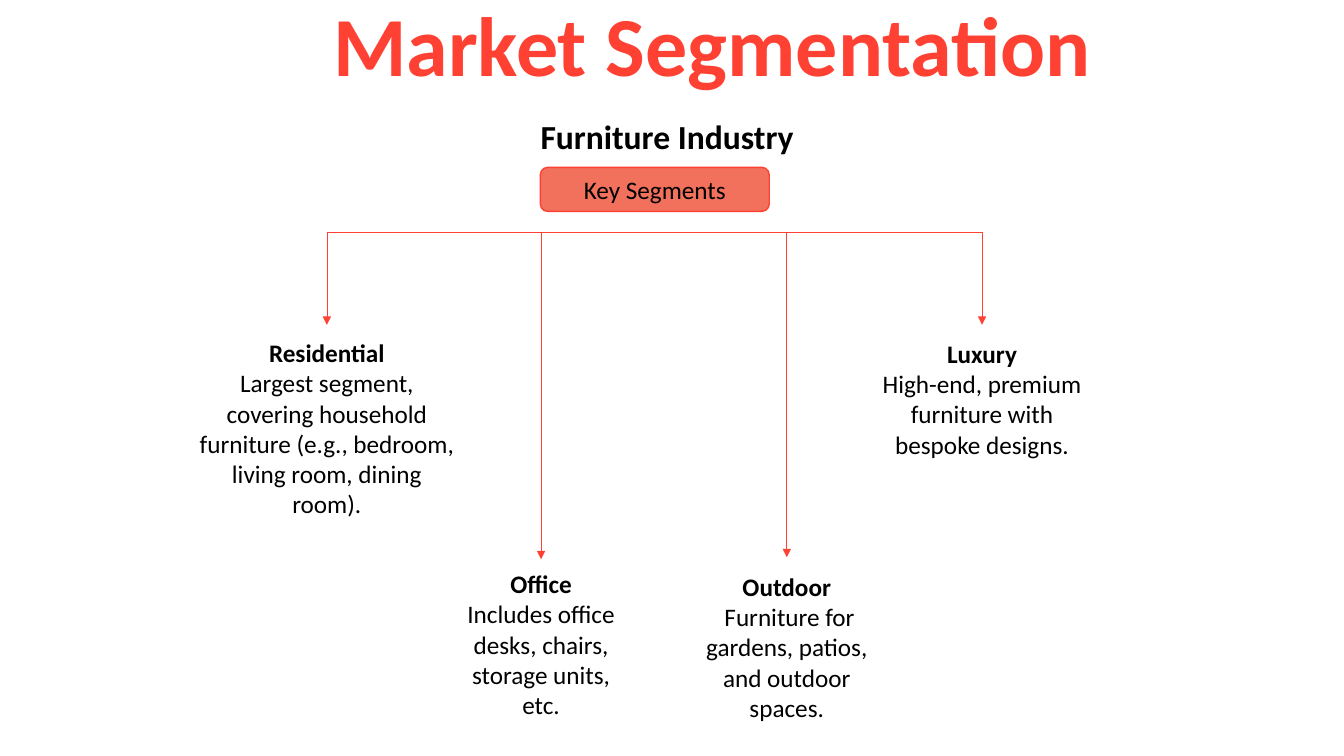
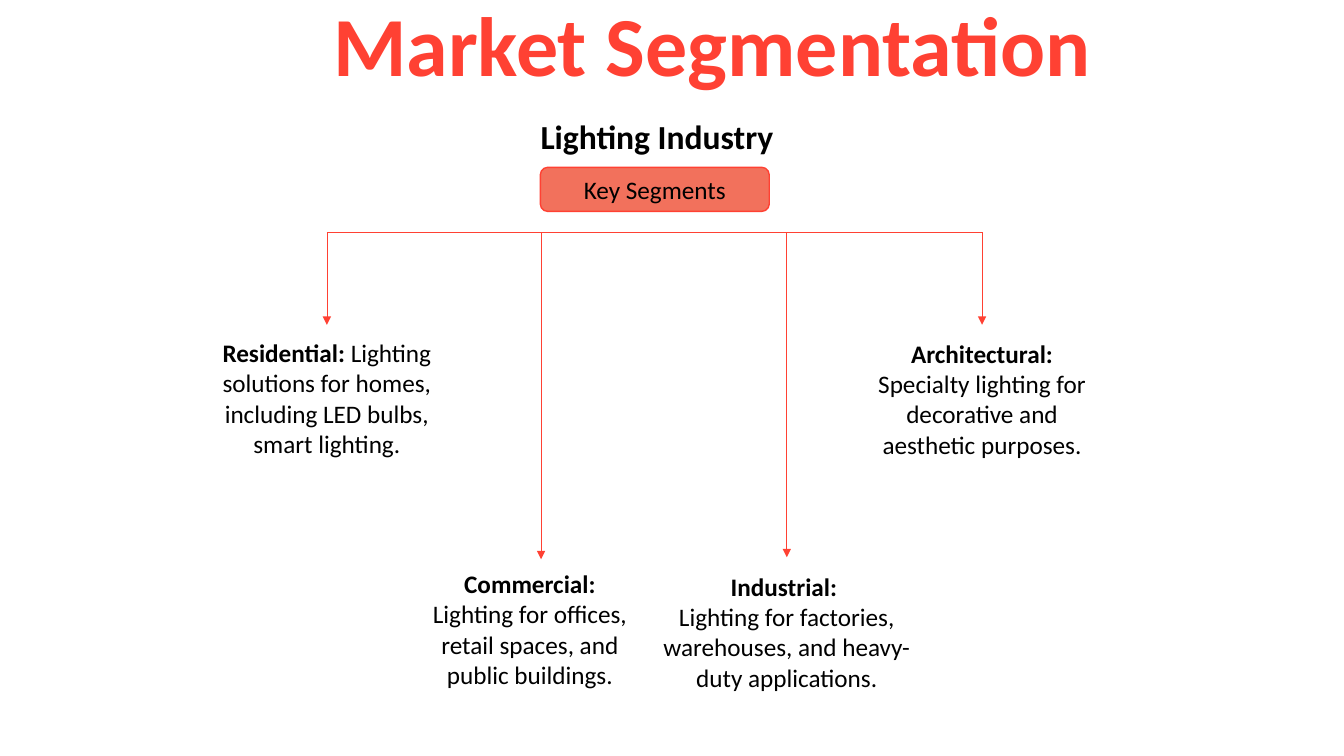
import dataclasses

import lxml.etree
import pptx
import pptx.dml.color
import pptx.enum.shapes
import pptx.enum.text
import pptx.oxml.ns
import pptx.util

Pt = pptx.util.Pt
ALIGN = pptx.enum.text.PP_ALIGN
ANCHOR = pptx.enum.text.MSO_ANCHOR

COLORS = {"accent": "FF4133", "badge": "F2715C", "text": "000000"}
FONT = "Calibri"
BODY_SIZE = 18
LINE_HEIGHT = 22
INSETS = 7.2

# Regions: left, top, width, height
TITLE_BOX = (231, 0, 578, 70)
HEADING_BOX = (379, 79, 203, 36)
BADGE_BOX = (386, 119.5, 163.5, 31.5)
TREE_BOX = (135, 166, 648, 354)

# Branches from the tree's corner: arrow x, arrow length, top of the text
BRANCHES = [(98.5, 66, 71.5), (251.5, 233.5, 236.5), (427, 232, 238.5), (566.5, 66, 72)]


@dataclasses.dataclass
class Segment:
    name: str
    blurb: str
    width: float
    lines: int = 4
    stacked: bool = True  # name on its own line
    shift: float = 0  # text centre relative to its arrow


FURNITURE = [
    Segment("Residential", "Largest segment, covering household furniture "
            "(e.g., bedroom, living room, dining room).", 196.5, lines=6),
    Segment("Office", "Includes office desks, chairs, storage units, etc.", 140, lines=5),
    Segment("Outdoor", " Furniture for gardens, patios, and outdoor spaces.", 150.5, lines=5),
    Segment("Luxury", "High-end, premium furniture with bespoke designs.", 163.5),
]
LIGHTING = [
    Segment("Residential:", " Lighting solutions for homes, including LED bulbs, "
            "smart lighting.", 196.5, stacked=False),
    Segment("Commercial:", " Lighting for offices, retail spaces, and public buildings.",
            154, stacked=False, shift=-8),
    Segment("Industrial: ", "Lighting for factories, warehouses, and heavy-duty applications.",
            214),
    Segment("Architectural:", " Specialty lighting for decorative and aesthetic purposes.",
            163.5, stacked=False),
]


def rgb(name):
    return pptx.dml.color.RGBColor.from_string(COLORS[name])


def style(paragraph, size, color="text", bold=None, align=ALIGN.LEFT):
    paragraph.alignment = align
    font = paragraph.font
    font.name, font.size, font.bold = FONT, Pt(size), bold
    font.color.rgb = rgb(color)


def add_text_frame(slide, box):
    frame = slide.shapes.add_textbox(*map(Pt, box)).text_frame
    frame.word_wrap = True
    return frame


def add_line(slide, start, end, arrow=False):
    line = slide.shapes.add_connector(
        pptx.enum.shapes.MSO_CONNECTOR.STRAIGHT, *map(Pt, start + end))
    line.line.color.rgb = rgb("accent")
    line.line.width = Pt(0.5)
    if arrow:
        lxml.etree.SubElement(line.line._get_or_add_ln(),
                              pptx.oxml.ns.qn("a:tailEnd"), type="triangle")
    lxml.etree.SubElement(line._element.spPr, pptx.oxml.ns.qn("a:effectLst"))


def add_title(slide, box, text):
    frame = add_text_frame(slide, box)
    frame.vertical_anchor = ANCHOR.MIDDLE
    title = frame.paragraphs[0]
    title.text = text
    title.line_spacing = 0.9
    style(title, 60, "accent", bold=True)


def add_heading(slide, box, text):
    heading = add_text_frame(slide, box).paragraphs[0]
    heading.text = text
    style(heading, 24, bold=True)


def add_badge(slide, box, text):
    badge = slide.shapes.add_shape(
        pptx.enum.shapes.MSO_SHAPE.ROUNDED_RECTANGLE, *map(Pt, box))
    badge.shadow.inherit = False
    badge.fill.solid()
    badge.fill.fore_color.rgb = rgb("badge")
    badge.line.color.rgb = rgb("accent")
    badge.line.width = Pt(1)
    badge.text_frame.vertical_anchor = ANCHOR.MIDDLE
    label = badge.text_frame.paragraphs[0]
    label.text = text
    style(label, BODY_SIZE, align=ALIGN.CENTER)


def add_segment(slide, box, segment):
    frame = add_text_frame(slide, box)
    frame.auto_size = pptx.enum.text.MSO_AUTO_SIZE.SHAPE_TO_FIT_TEXT
    first = frame.paragraphs[0]
    last = frame.add_paragraph() if segment.stacked else first
    for paragraph, text, bold in ((first, segment.name, True), (last, segment.blurb, False)):
        style(paragraph, BODY_SIZE, align=ALIGN.CENTER)
        run = paragraph.add_run()
        run.text = text
        run.font.bold = bold


def add_tree(slide, box, segments):
    left, top = box[:2]
    # Bar joining the outer branches
    add_line(slide, (left + BRANCHES[0][0], top), (left + BRANCHES[-1][0], top))
    # Arrows with their segments
    for (arrow_x, length, text_top), segment in zip(BRANCHES, segments):
        x = left + arrow_x
        add_line(slide, (x, top), (x, top + length), arrow=True)
        height = segment.lines * LINE_HEIGHT + INSETS
        text_left = x + segment.shift - segment.width / 2
        add_segment(slide, (text_left, top + text_top, segment.width, height), segment)


def add_segmentation_slide(deck, industry, segments):
    slide = deck.slides.add_slide(deck.slide_layouts[6])
    add_title(slide, TITLE_BOX, "Market Segmentation")
    add_heading(slide, HEADING_BOX, industry)
    add_tree(slide, TREE_BOX, segments)
    add_badge(slide, BADGE_BOX, "Key Segments")


def main():
    deck = pptx.Presentation()
    deck.slide_width, deck.slide_height = Pt(960), Pt(540)
    add_segmentation_slide(deck, "Furniture Industry", FURNITURE)
    add_segmentation_slide(deck, "Lighting Industry", LIGHTING)
    deck.save("out.pptx")


if __name__ == "__main__":
    main()
